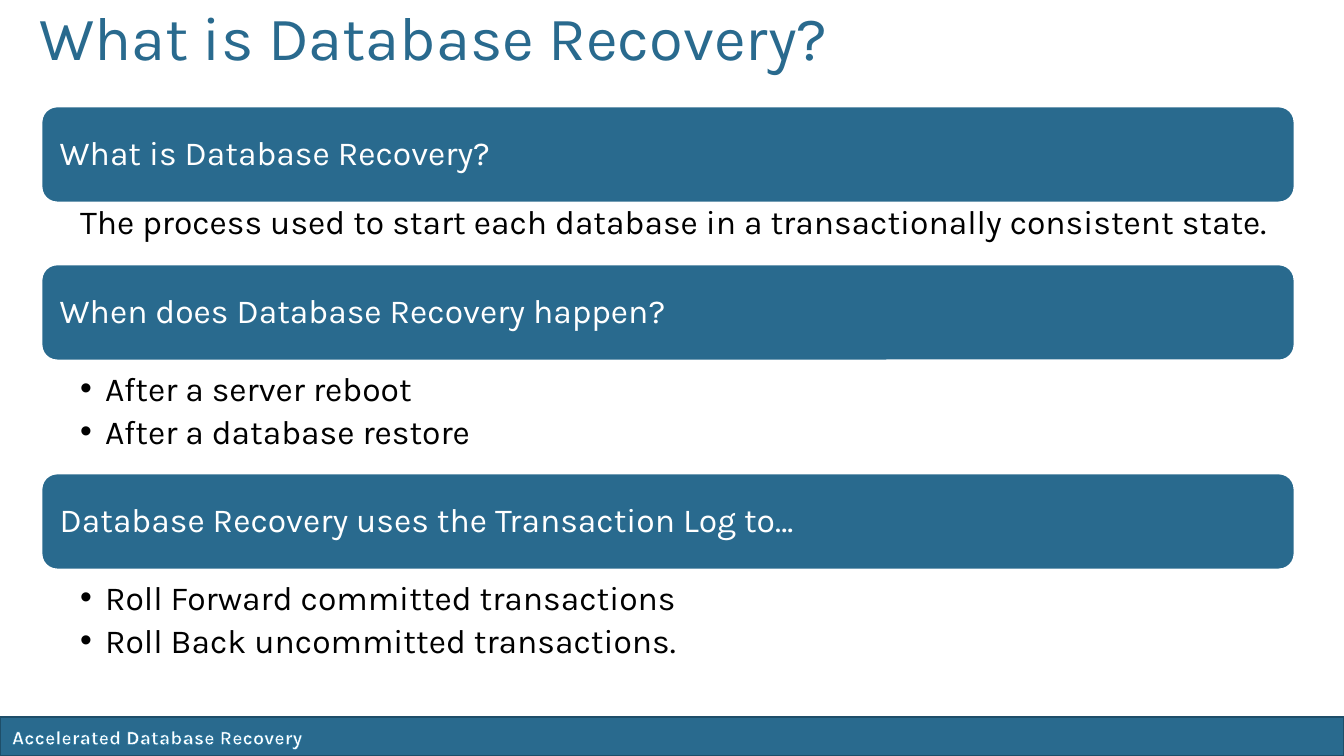
from dataclasses import dataclass

from lxml.etree import SubElement
from pptx import Presentation
from pptx.dml.color import RGBColor as Rgb
from pptx.enum.shapes import MSO_SHAPE as Kind
from pptx.enum.text import MSO_ANCHOR as Anchor, PP_ALIGN as Align
from pptx.oxml.ns import qn
from pptx.util import Emu, Pt

SCALE = 914400 / 100.8


@dataclass(frozen=True)
class Theme:
    face: str = "Karla"
    blue: str = "296A8E"
    edge: str = "1E4E69"
    glow: str = "1872A0"
    white: str = "FFFFFF"
    black: str = "000000"
    title: int = 44
    body: int = 24
    foot: int = 14


THEME = Theme()
TOPICS = [
    (106, 202, False, "What is Database Recovery?",
     ["The process used to start each database in a transactionally consistent state."]),
    (264, 369, True, "When does Database Recovery happen?",
     ["After a server reboot", "After a database restore"]),
    (473, 578, True, "Database Recovery uses the Transaction Log to…",
     ["Roll Forward committed transactions", "Roll Back uncommitted transactions."]),
]


def px(num):
    return Emu(round(num * SCALE))


def apply(item, form):
    for name, value in form.items():
        setattr(item, name, value)


def set_frame(frame, pads, anchor=Anchor.TOP):
    sides = ("margin_left", "margin_top", "margin_right", "margin_bottom")
    apply(frame, dict(zip(sides, map(px, pads))))
    apply(frame, {"word_wrap": True, "vertical_anchor": anchor})


def write(para, text, size, color, bold=False, **form):
    run = para.add_run()
    run.text = text
    apply(run.font, {"name": THEME.face, "size": Pt(size), "bold": bold})
    run.font.color.rgb = Rgb.from_string(color)
    apply(para, {"alignment": Align.LEFT, **form})
    return run


def add_bar(slide, kind, box, edge):
    bar = slide.shapes.add_shape(kind, *map(px, box))
    bar.shadow.inherit = False
    bar.fill.solid()
    bar.fill.fore_color.rgb = Rgb.from_string(THEME.blue)
    bar.line.color.rgb = Rgb.from_string(edge)
    bar.line.width = Pt(2)
    return bar


def add_title(slide, text):
    title = slide.shapes.title
    box = {"left": 29, "top": 19, "width": 1210, "height": 126}
    apply(title, {side: px(num) for side, num in box.items()})
    set_frame(title.text_frame, (10, 5, 10, 5))
    write(title.text_frame.paragraphs[0], text, THEME.title, THEME.blue,
          line_spacing=Pt(35))


def add_head(slide, top, text):
    bar = add_bar(slide, Kind.ROUNDED_RECTANGLE, (41, top, 1254, 97), THEME.white)
    set_frame(bar.text_frame, (14, 10, 14, 10), Anchor.MIDDLE)
    write(bar.text_frame.paragraphs[0], text, THEME.body, THEME.white,
          line_spacing=0.9)


def indent(para, dotted):
    props = para._p.get_or_add_pPr()
    props.set("marL", str(px(25)))
    props.set("indent", str(px(-25)))
    if dotted:
        SubElement(props, qn("a:buFont"), typeface="Arial")
        SubElement(props, qn("a:buChar"), char="•")
    else:
        SubElement(props, qn("a:buNone"))


def add_list(slide, top, lines, dotted):
    frame = slide.shapes.add_textbox(*map(px, (41, top, 1254, 97))).text_frame
    set_frame(frame, (39, 3, 19, 3))
    for num, line in enumerate(lines):
        para = frame.add_paragraph() if num else frame.paragraphs[0]
        write(para, line, THEME.body, THEME.black,
              line_spacing=0.9, space_after=Pt(5))
        indent(para, dotted)


def add_foot(slide, text):
    add_bar(slide, Kind.RECTANGLE, (0, 717, 1344, 39), THEME.edge)
    frame = slide.shapes.add_textbox(*map(px, (2, 720, 611, 34))).text_frame
    set_frame(frame, (10, 5, 10, 5))
    run = write(frame.paragraphs[0], text, THEME.foot, THEME.white, True)
    line = run._r.get_or_add_rPr().makeelement(qn("a:ln"), {"w": str(Pt(0.8))})
    fill = SubElement(line, qn("a:solidFill"))
    SubElement(fill, qn("a:srgbClr"), val=THEME.glow)
    run._r.get_or_add_rPr().insert(0, line)


def main():
    deck = Presentation()
    apply(deck, {"slide_width": px(1344), "slide_height": px(756)})
    slide = deck.slides.add_slide(deck.slide_layouts[5])
    add_foot(slide, "Accelerated Database Recovery")
    add_title(slide, "What is Database Recovery?")
    for top, below, dotted, head, lines in TOPICS:
        add_head(slide, top, head)
        add_list(slide, below, lines, dotted)
    deck.save("out.pptx")


if __name__ == "__main__":
    main()
